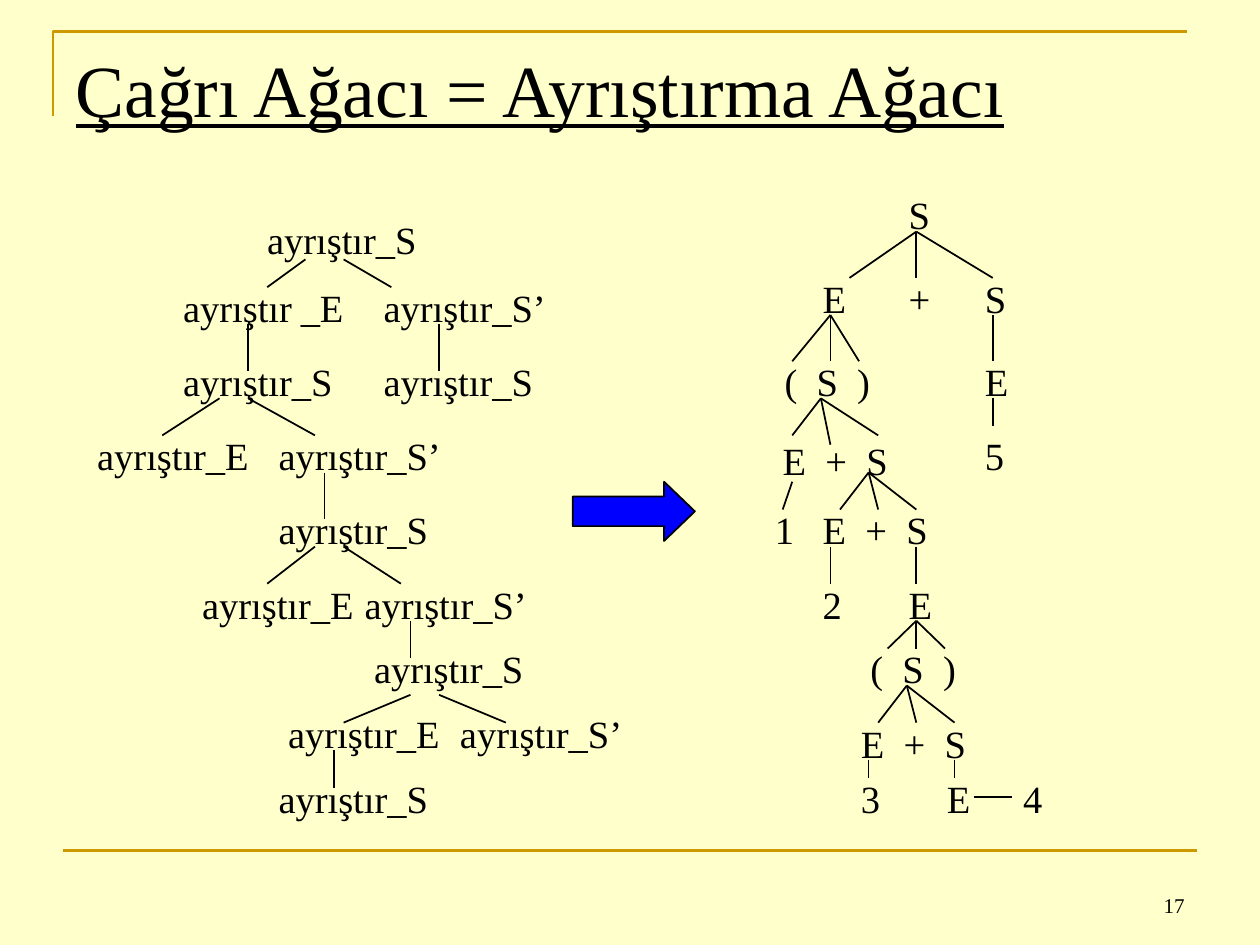
from pptx import Presentation
from pptx.dml.color import RGBColor
from pptx.enum.shapes import MSO_CONNECTOR, MSO_SHAPE
from pptx.enum.text import MSO_ANCHOR, MSO_AUTO_SIZE, PP_ALIGN
from pptx.oxml.ns import qn
from pptx.util import Inches, Pt

CREAM = RGBColor(0xFF, 0xFF, 0xCC)
GOLD = RGBColor(0xCC, 0x99, 0x00)
BLACK = RGBColor(0, 0, 0)
BLUE = RGBColor(0, 0, 0xFF)
SERIF = "Times New Roman"

WIDTH, HEIGHT = Inches(10), Inches(7.5)
COLUMN, ROW = WIDTH / 132, HEIGHT / 102  # drawing grid

# Nodes are (column, row, text); branches map a parent point to its child points.
CALL_NODES = [
    (17.8, 0.6, "ayrıştır_S"),
    (9, 8, "ayrıştır _E"), (30, 8, "ayrıştır_S’"),
    (9, 16, "ayrıştır_S"), (30, 16, "ayrıştır_S"),
    (0, 24, "ayrıştır_E"), (19, 24, "ayrıştır_S’"),
    (19, 32, "ayrıştır_S"),
    (11, 40, "ayrıştır_E"), (28, 40, "ayrıştır_S’"),
    (29, 47, "ayrıştır_S"),
    (20, 54, "ayrıştır_E"), (38, 54, "ayrıştır_S’"),
    (19, 61, "ayrıştır_S"),
]
CALL_BRANCHES = {
    (23, 6): [(19, 9)], (27, 6): [(32, 9)],
    (17, 13): [(17, 18)], (37, 13): [(37, 18)],
    (14, 21): [(8, 25)], (17, 21): [(24, 25)],
    (25, 29): [(25, 34)],
    (24, 37): [(19, 41)], (27, 37): [(33, 41)],
    (34, 45): [(34, 49)],
    (34, 53): [(27, 56)], (37, 53): [(44, 56)],
    (26, 59): [(26, 63)],
}
PARSE_NODES = [
    (14, 0, "S"),
    (5, 9, "E"), (14, 9, "+"), (22, 9, "S"),
    (1, 18, "( S )"), (22, 18, "E"),
    (0.8, 26.5, "E + S"), (22, 26, "5"),
    (0, 34, "1"), (5, 34, "E + S"),
    (5, 42, "2"), (14, 42, "E"),
    (10, 49, "( S )"),
    (9, 57, "E + S"),
    (9, 63, "3"), (18, 63, "E"), (26, 63, "4"),
]
PARSE_BRANCHES = {
    (16, 5): [(9, 10), (16, 10), (24, 10)],
    (7, 14): [(3, 19), (7, 19), (10, 19)], (24, 14): [(24, 19)],
    (6, 23): [(3, 27), (7, 28), (12, 27)], (24, 23): [(24, 26)],
    (3, 32): [(2, 35)], (11, 31): [(8, 35), (12, 35), (16, 35)],
    (7, 39): [(7, 43)], (16, 39): [(16, 43)],
    (16, 47): [(13, 50), (16, 50), (19, 50)],
    (15, 54): [(12, 58), (16, 58), (20, 58)],
    (11, 62): [(11, 64)], (20, 62): [(20, 64)],
    (22, 66): [(26, 66)],
}


def write(paragraph, text, size=22, font=SERIF, underline=None, spacing=None):
    """Add one formatted run; spacing is extra width per character in points."""
    run = paragraph.add_run()
    run.text = text
    run.font.size, run.font.name = Pt(size), font
    run.font.color.rgb = BLACK
    run.font.underline = underline
    if spacing:
        run.font._element.set("spc", str(int(spacing * 100)))


def add_line(slide, start, end, color=BLACK, weight=1):
    line = slide.shapes.add_connector(
        MSO_CONNECTOR.STRAIGHT, *(round(v) for v in (*start, *end)))
    line.line.color.rgb, line.line.width = color, Pt(weight)
    properties = line._element.spPr
    properties.append(properties.makeelement(qn("a:effectLst"), {}))


def add_node(slide, left, top, text):
    words = text.split(" ")
    is_rule = len(words) == 3  # three grammar symbols, a double space apart
    width = 1.15 if is_rule else 0.2 + 0.12 * len(text)
    node = slide.shapes.add_textbox(
        round(left), round(top), Inches(width), Inches(0.46))
    frame = node.text_frame
    # A fixed width leaves room for the widened gaps of a rule
    frame.word_wrap = is_rule
    frame.auto_size = MSO_AUTO_SIZE.SHAPE_TO_FIT_TEXT
    frame.margin_left = frame.margin_right = Inches(0.09)
    frame.margin_top = frame.margin_bottom = Inches(0.05)
    label = frame.paragraphs[0]
    gap = {"spacing": 5.5} if is_rule else {"size": 18, "font": "Arial"}
    for index, word in enumerate(words):
        if index:
            write(label, " ", **gap)
        write(label, word)


def add_tree(slide, column, row, nodes, branches):
    """Place a tree with its top left corner at a grid cell."""
    def place(x, y):
        return (column + x) * COLUMN, (row + y) * ROW

    for x, y, text in nodes:
        add_node(slide, *place(x, y), text)
    for parent, children in branches.items():
        for child in children:
            add_line(slide, place(*parent), place(*child))


def add_frame(slide):
    # Corner above the title and rule below the trees
    left, top, right = Inches(0.42), Inches(0.25), Inches(9.42)
    builder = slide.shapes.build_freeform(left, Inches(0.92))
    builder.add_line_segments([(left, top), (right, top)], close=False)
    corner = builder.convert_to_shape()
    corner.shadow.inherit = False
    corner.fill.background()
    corner.line.color.rgb, corner.line.width = GOLD, Pt(1.5)
    base = HEIGHT * 0.9
    add_line(slide, (WIDTH * 0.05, base), (WIDTH * 0.95, base), GOLD, 1.5)


def add_title(slide, text):
    title = slide.shapes.title
    title.left, title.top = Inches(0.5), Inches(0.3)
    title.width, title.height = Inches(9), Inches(1.25)
    title.text_frame.vertical_anchor = MSO_ANCHOR.TOP
    heading = title.text_frame.paragraphs[0]
    heading.alignment = PP_ALIGN.LEFT
    write(heading, text, size=42, underline=True)


def add_arrow(slide):
    arrow = slide.shapes.add_shape(
        MSO_SHAPE.RIGHT_ARROW, round(60 * COLUMN), round(52 * ROW),
        Inches(0.97), Inches(0.47))
    arrow.adjustments[1] = 0.52
    arrow.shadow.inherit = False
    arrow.fill.solid()
    arrow.fill.fore_color.rgb = BLUE
    arrow.line.color.rgb, arrow.line.width = BLACK, Pt(1)


def add_page_number(slide, number):
    box = slide.shapes.add_textbox(
        Inches(7.17), Inches(6.83), Inches(2.33), Inches(0.5))
    box.text_frame.word_wrap = True
    box.text_frame.vertical_anchor = MSO_ANCHOR.BOTTOM
    page = box.text_frame.paragraphs[0]
    page.alignment = PP_ALIGN.RIGHT
    write(page, number, size=12)


def main():
    deck = Presentation()
    deck.slide_width, deck.slide_height = WIDTH, HEIGHT
    slide = deck.slides.add_slide(deck.slide_layouts[5])
    slide.background.fill.solid()
    slide.background.fill.fore_color.rgb = CREAM
    add_frame(slide)
    add_title(slide, "Çağrı Ağacı = Ayrıştırma Ağacı")
    add_tree(slide, 80, 20, PARSE_NODES, PARSE_BRANCHES)
    add_tree(slide, 9, 22, CALL_NODES, CALL_BRANCHES)
    add_arrow(slide)
    add_page_number(slide, "17")
    deck.save("out.pptx")


if __name__ == "__main__":
    main()
